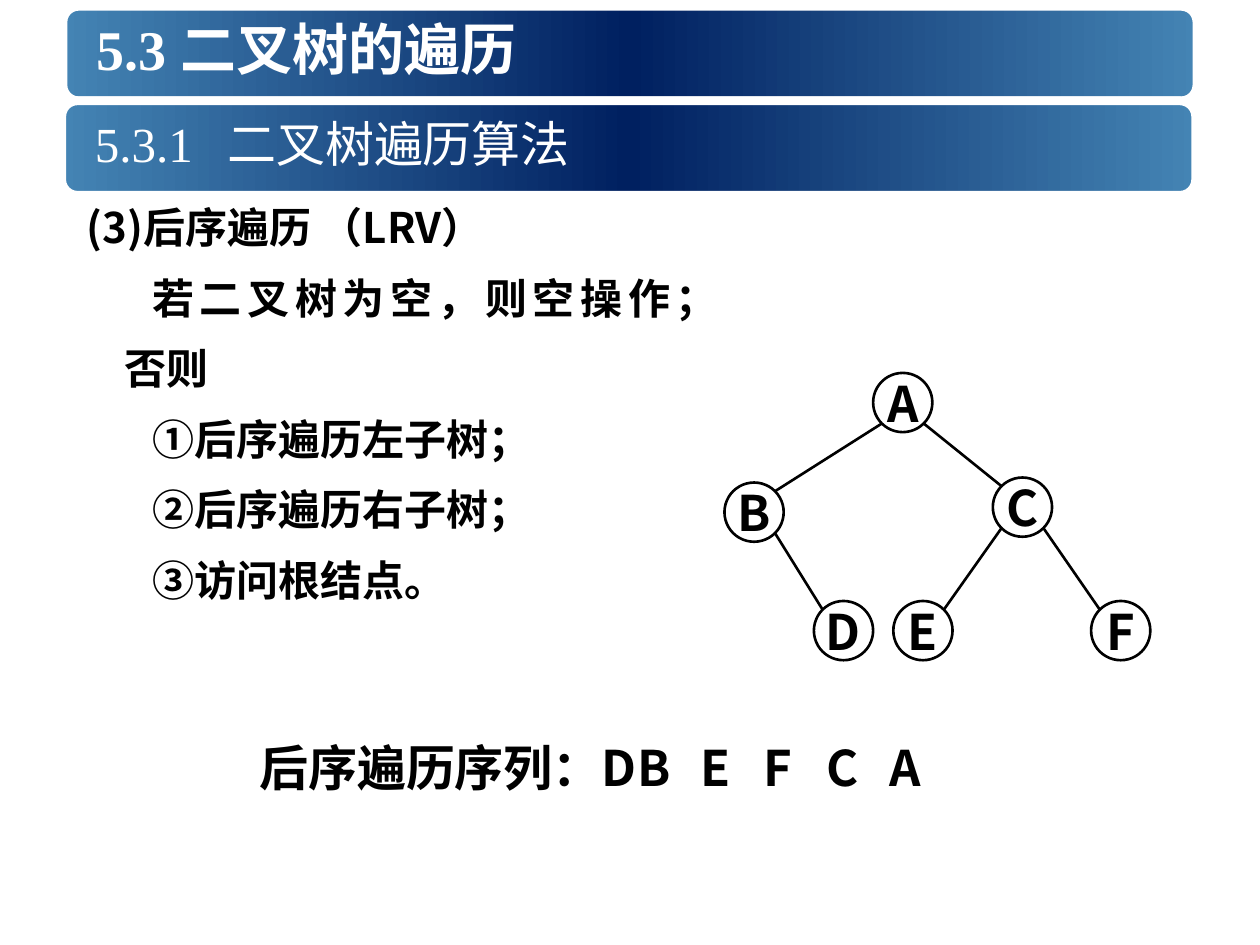
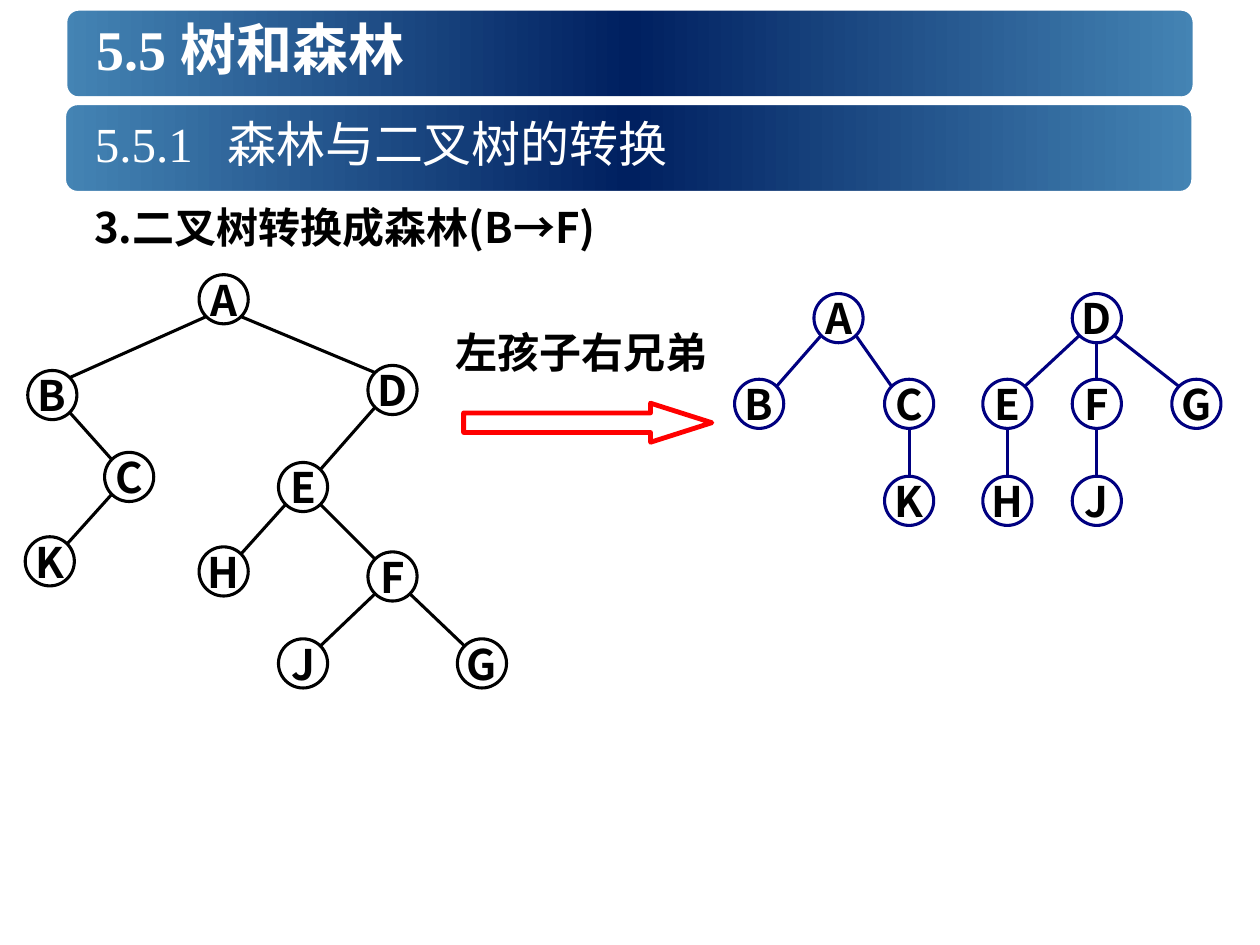
from copy import deepcopy
from math import sqrt

from pptx import Presentation
from pptx.dml.color import RGBColor
from pptx.enum.shapes import MSO_CONNECTOR, MSO_SHAPE
from pptx.enum.text import MSO_ANCHOR, PP_ALIGN
from pptx.oxml.ns import qn
from pptx.util import Inches, Pt

# Every length is counted in cells of a 100 x 75 grid
COLS, ROWS = 100, 75
CELL = Inches(0.1)

SERIF, SANS = "Times New Roman", "Noto Sans CJK SC"
WHITE, BLACK, NAVY, RED = "FFFFFF", "000000", "000080", "FF0000"
BAND_STOPS = [(0, "4484B4"), (0.5, "002060"), (1, "4484B4")]


def rgb(value):
    return RGBColor.from_string(value)


def cells(*values):
    return [round(v * CELL) for v in values]


def style_run(r, size, color=BLACK, font=SANS, bold=True):
    r.font.name, r.font.size, r.font.bold = font, Pt(size), bold
    r.font.color.rgb = rgb(color)
    ea = r._r.get_or_add_rPr().makeelement(qn("a:ea"), {"typeface": SANS})
    r.font._element.find(qn("a:latin")).addnext(ea)


def set_indent(p, left, first=0):
    pPr = p._p.get_or_add_pPr()
    pPr.set("marL", str(cells(left)[0]))
    pPr.set("indent", str(cells(first)[0]))


def set_tabs(p, stops):
    pPr = p._p.get_or_add_pPr()
    tabs = pPr.makeelement(qn("a:tabLst"), {})
    for stop in stops:
        pos = str(cells(stop)[0])
        tabs.append(tabs.makeelement(qn("a:tab"), {"pos": pos, "algn": "l"}))
    pPr.append(tabs)


def add_text(s, box, lines, size, anchor=MSO_ANCHOR.TOP, spacing=None, **style):
    tf = s.shapes.add_textbox(*cells(*box)).text_frame
    tf.word_wrap, tf.vertical_anchor = True, anchor
    tf.text = "\n".join(lines)
    for p in tf.paragraphs:
        if spacing:
            p.line_spacing = spacing
        for r in p.runs:
            style_run(r, size, **style)
    return tf


def add_outline(s, kind, box, color, weight):
    sp = s.shapes.add_shape(kind, *cells(*box))
    sp.shadow.inherit = False
    sp.fill.background()
    sp.line.color.rgb, sp.line.width = rgb(color), Pt(weight)
    return sp


def add_band(s, box):
    sp = add_outline(s, MSO_SHAPE.ROUNDED_RECTANGLE, box, WHITE, 5)
    sp.fill.gradient()
    sp.fill.gradient_angle = 0
    stops = next(sp._element.spPr.iter(qn("a:gsLst")))
    stops.insert(1, deepcopy(stops[0]))
    for stop, (position, color) in zip(sp.fill.gradient_stops, BAND_STOPS):
        stop.position, stop.color.rgb = position, rgb(color)


def add_heading(s, box, text, size, bold):
    """A gradient band with its text inset from the left."""
    x, y, w, h = box
    add_band(s, box)
    return add_text(s, (x + 1.65, y, w - 2.5, h - 0.8), [text], size,
                    MSO_ANCHOR.MIDDLE, color=WHITE, font=SERIF, bold=bold)


def add_section_slide(prs, title, number, subtitle):
    s = prs.slides.add_slide(prs.slide_layouts[6])
    add_heading(s, (5, 0.5, 90, 7.5), title, 32, True)
    tf = add_heading(s, (4.9, 8, 90, 7.5), f"{number}\t{subtitle}", 28, False)
    set_tabs(tf.paragraphs[0], [10.5])
    return s


def add_edge(s, parent, child, d, color, weight):
    """Join the lower rim of the parent to the upper rim of the child."""
    (px, py), (cx, cy) = parent, child
    side = (cx > px) - (cx < px)
    reach = d / 2 / (sqrt(2) if side else 1)
    line = s.shapes.add_connector(
        MSO_CONNECTOR.STRAIGHT,
        *cells(px + side * reach, py + reach, cx - side * reach, cy - reach))
    line.line.color.rgb, line.line.width = rgb(color), Pt(weight)
    spPr = line._element.spPr
    spPr.append(spPr.makeelement(qn("a:effectLst"), {}))


def add_tree(s, origin, nodes, edges, d, size, color=BLACK, weight=1.75):
    """nodes: letter -> corner of its circle from origin; edges: 'AB AC'."""
    x0, y0 = origin
    centers = {}
    for name, (x, y) in nodes.items():
        sp = add_outline(s, MSO_SHAPE.OVAL, (x0 + x, y0 + y, d, d), color, weight)
        centers[name] = (x0 + x + d / 2, y0 + y + d / 2)
        tf = sp.text_frame
        tf.word_wrap, tf.vertical_anchor = False, MSO_ANCHOR.MIDDLE
        tf.text = name
        tf.paragraphs[0].alignment = PP_ALIGN.CENTER
        style_run(tf.paragraphs[0].runs[0], size)
    for parent, child in edges.split():
        add_edge(s, centers[parent], centers[child], d, color, weight)


def add_algorithm(s, box):
    lines = ["(3)后序遍历 （LRV）", "若二叉树为空，则空操作；\v否则",
             "①后序遍历左子树；", "②后序遍历右子树；", "③访问根结点。"]
    tf = add_text(s, box, lines, 24, spacing=1.4)
    indents = [(0, 0), (3, 2.2)] + [(5.2, 0)] * 3
    for p, indent in zip(tf.paragraphs, indents):
        p.alignment = PP_ALIGN.JUSTIFY
        set_indent(p, *indent)


def add_sequence(s, box, label, letters):
    tf = add_text(s, box, [label + "\t".join(letters)], 28, MSO_ANCHOR.MIDDLE)
    p = tf.paragraphs[0]
    set_indent(p, 5.8)
    set_tabs(p, [33.8 + 4.3 * i for i in range(1, len(letters))])


def add_conversion(s, box):
    """Rule of the conversion above its arrow."""
    x, y, w, h = box
    add_text(s, (x, y, w, 5.8), ["左孩子右兄弟"], 24, spacing=1.2)
    arrow = add_outline(s, MSO_SHAPE.RIGHT_ARROW,
                        (x + 1.6, y + h - 3.1, 19.7, 3.1), RED, 2.75)
    arrow.adjustments[0], arrow.adjustments[1] = 0.5, 1.57


def build_postorder(prs):
    s = add_section_slide(prs, "5.3 二叉树的遍历", "5.3.1", "二叉树遍历算法")
    add_algorithm(s, (5.9, 13.9, 52.5, 34.6))
    add_sequence(s, (13.8, 57.5, 66.7, 6.7), "后序遍历序列：", "DBEFCA")
    leaf_row = 18.1
    nodes = {"A": (11.8, 0), "B": (0, 8.7), "C": (21.3, 8.3),
             "D": (7.1, leaf_row), "E": (13.4, leaf_row), "F": (29.1, leaf_row)}
    add_tree(s, (57.5, 29.6), nodes, "AB BD AC CE CF", 4.7, 28, weight=1.5)


def build_forest(prs):
    s = add_section_slide(prs, "5.5 树和森林", "5.5.1", "森林与二叉树的转换")
    add_text(s, (6.5, 14.7, 91.6, 5.8), ["3.二叉树转换成森林(B→F)"], 24, spacing=1.2)
    add_conversion(s, (35.2, 24.6, 24.4, 10.5))

    # Forest: three levels of equal trees
    top, middle, low = 0, 6.8, 14.5
    forest = {"A": (6.3, top), "B": (0, middle), "C": (11.9, middle),
              "K": (11.9, low), "D": (26.8, top), "E": (19.7, middle),
              "F": (26.8, middle), "G": (34.7, middle),
              "H": (19.7, low), "J": (26.8, low)}
    add_tree(s, (58.3, 23.3), forest, "AB AC CK DF DE DG EH FJ", 3.9, 24, NAVY)

    # Binary tree
    binary = {"A": (13.8, 0), "B": (0.2, 7.6), "C": (6.3, 14.1), "K": (0, 20.8),
              "D": (27.2, 7.2), "E": (20.1, 14.9), "H": (13.8, 21.6),
              "F": (27.2, 22), "J": (20.1, 28.9), "G": (34.3, 28.9)}
    add_tree(s, (2, 21.8), binary, "AB BC CK AD DE EH EF FJ FG", 3.9, 24)


def main():
    prs = Presentation()
    prs.slide_width, prs.slide_height = cells(COLS, ROWS)
    build_postorder(prs)
    build_forest(prs)
    prs.save("out.pptx")


if __name__ == "__main__":
    main()
